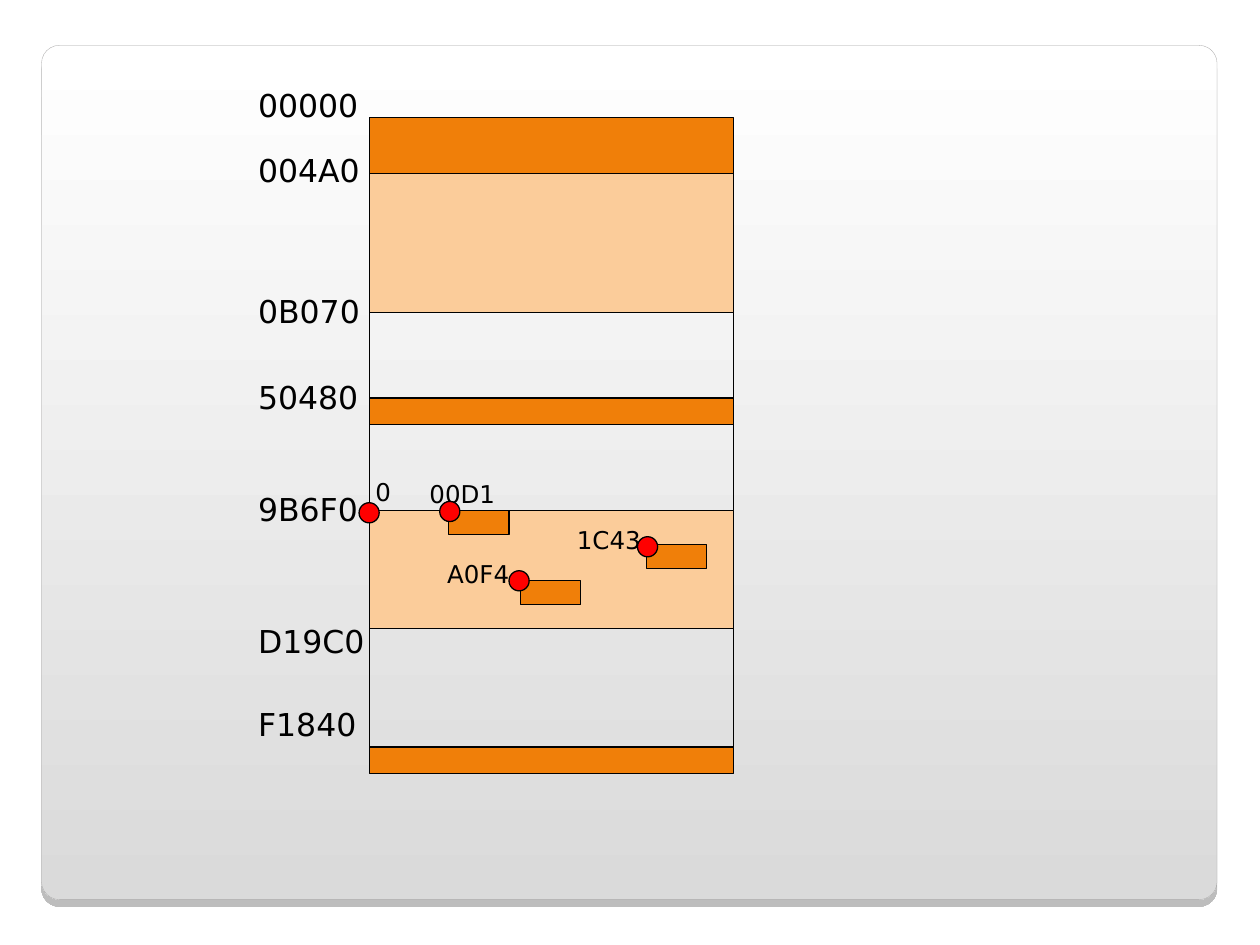
from dataclasses import dataclass
from typing import Optional

import pptx
import pptx.dml.color
import pptx.enum.shapes
import pptx.enum.text
import pptx.oxml
import pptx.oxml.ns
import pptx.util

Inches = pptx.util.Inches
Shapes = pptx.enum.shapes.MSO_SHAPE

ORANGE = "F07F09"
PEACH = "FBCC9A"
RED = "FF0000"
BLACK = "000000"

MAP_LEFT, MAP_TOP, MAP_WIDTH = 2.93, 0.93, 2.89
VARIABLE_WIDTH, VARIABLE_HEIGHT = 0.48, 0.19
DOT_SIZE = 0.16
FRAME_FORMAT = {"word_wrap": True, "auto_size": pptx.enum.text.MSO_AUTO_SIZE.NONE}


@dataclass
class Segment:
    height: float
    fill: Optional[str] = None


@dataclass
class Label:
    text: str
    left: float
    top: float
    width: float = 1.11
    height: float = 0.4
    size: int = 18


@dataclass
class Offset:
    label: Label
    dot_left: float
    dot_top: float


SEGMENTS = [
    Segment(0.45, ORANGE),
    Segment(1.1, PEACH),
    Segment(0.68),
    Segment(0.21, ORANGE),
    Segment(0.68),
    Segment(0.94, PEACH),
    Segment(0.94),
    Segment(0.21, ORANGE),
]
ADDRESSES = {
    "00000": 0.63,
    "004A0": 1.15,
    "0B070": 2.27,
    "50480": 2.95,
    "9B6F0": 3.84,
    "D19C0": 4.89,
    "F1840": 5.55,
}
VARIABLES = [(3.56, 4.05), (4.13, 4.61), (5.13, 4.32)]
OFFSETS = [
    Offset(Label("0", 2.88, 3.74, 0.35, 0.34, 14), 2.85, 3.99),
    Offset(Label("00D1", 3.31, 3.75, 0.73, 0.34, 14), 3.49, 3.98),
    Offset(Label("1C43", 4.48, 4.12, 0.73, 0.34, 14), 5.06, 4.26),
    Offset(Label("A0F4", 3.45, 4.39, 0.73, 0.34, 14), 4.04, 4.53),
]


def color(code: str):
    return pptx.dml.color.RGBColor.from_string(code)


def set_values(target, values: dict) -> None:
    for name, value in values.items():
        setattr(target, name, value)


def add_figure(page, kind, left: float, top: float, width: float, height: float,
               fill: Optional[str] = None, line: str = BLACK, weight: float = 0.75):
    figure = page.shapes.add_shape(
        kind, Inches(left), Inches(top), Inches(width), Inches(height))
    figure.shadow.inherit = False
    if fill:
        figure.fill.solid()
        figure.fill.fore_color.rgb = color(fill)
    else:
        figure.fill.background()
    figure.line.color.rgb = color(line)
    figure.line.width = pptx.util.Pt(weight)
    return figure


def add_label(page, label: Label) -> None:
    box = page.shapes.add_textbox(
        Inches(label.left), Inches(label.top), Inches(label.width), Inches(label.height))
    set_values(box.text_frame, FRAME_FORMAT)
    span = box.text_frame.paragraphs[0].add_run()
    span.text = label.text
    set_values(span.font, {"name": "DejaVu Sans", "size": pptx.util.Pt(label.size)})
    span.font.color.rgb = color(BLACK)


def add_panel(page) -> None:
    panel = add_figure(page, Shapes.ROUNDED_RECTANGLE, 0.33, 0.36, 9.33, 6.78,
                       line="A4A3A3", weight=0.17)
    panel.adjustments[0] = 0.021
    panel.fill.gradient()
    panel.fill.gradient_angle = 270
    for stop, code in zip(panel.fill.gradient_stops, ("FFFFFF", "DADADA")):
        stop.color.rgb = color(code)
    effects = panel._element.spPr.find(pptx.oxml.ns.qn("a:effectLst"))
    effects.append(pptx.oxml.parse_xml(
        f'<a:outerShdw {pptx.oxml.ns.nsdecls("a")} blurRad="0" dist="50800" '
        'dir="5400000" algn="t" rotWithShape="0"><a:srgbClr val="000000">'
        '<a:alpha val="25000"/></a:srgbClr></a:outerShdw>'))


def add_memory_map(page) -> None:
    top = MAP_TOP
    for segment in SEGMENTS:
        add_figure(page, Shapes.RECTANGLE, MAP_LEFT, top, MAP_WIDTH,
                   segment.height, segment.fill)
        top += segment.height


def main() -> None:
    deck = pptx.Presentation()
    set_values(deck, {"slide_width": Inches(10), "slide_height": Inches(7.5)})
    page = deck.slides.add_slide(deck.slide_layouts[6])
    add_panel(page)
    add_memory_map(page)
    for text, top in ADDRESSES.items():
        add_label(page, Label(text, 1.95, top))
    for left, top in VARIABLES:
        add_figure(page, Shapes.RECTANGLE, left, top,
                   VARIABLE_WIDTH, VARIABLE_HEIGHT, ORANGE)
    for offset in OFFSETS:
        add_label(page, offset.label)
    for offset in OFFSETS:
        add_figure(page, Shapes.OVAL, offset.dot_left, offset.dot_top,
                   DOT_SIZE, DOT_SIZE, RED)
    deck.save("out.pptx")


if __name__ == "__main__":
    main()
